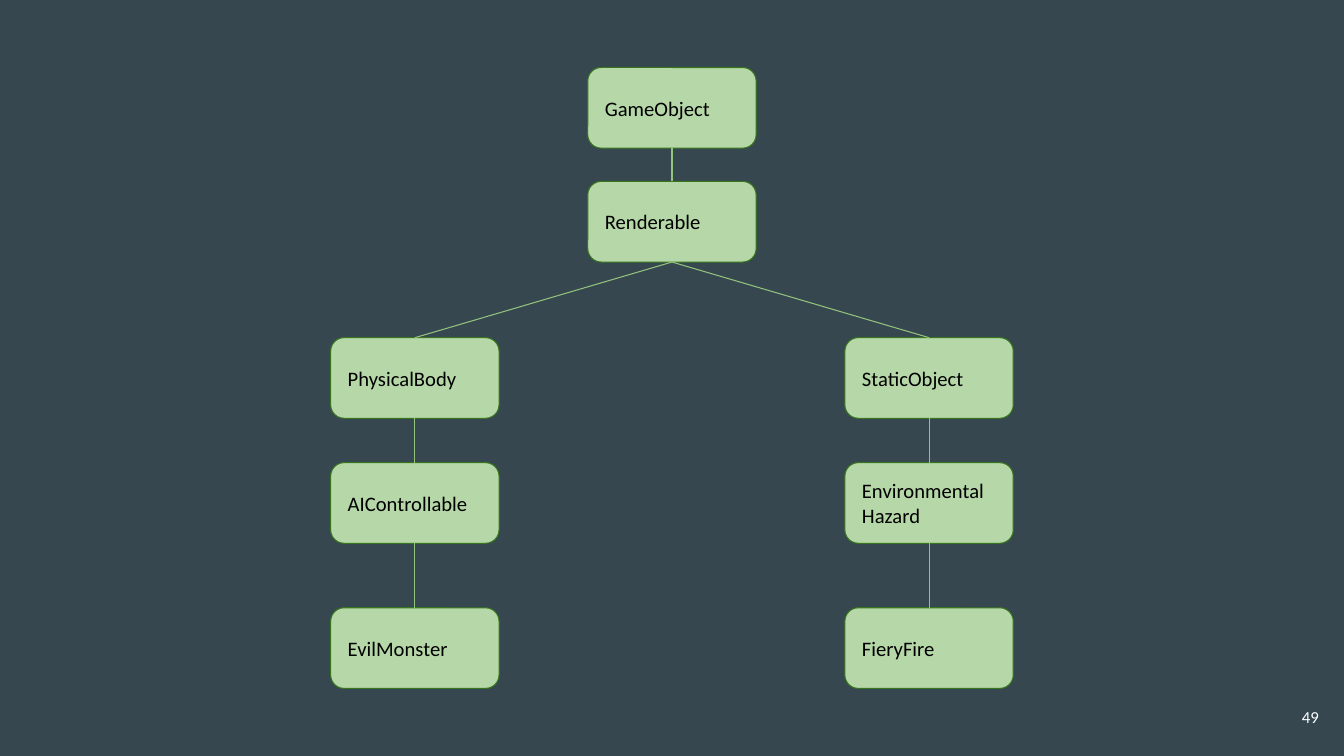
import pptx
import pptx.dml.color
import pptx.enum.shapes
import pptx.enum.text
import pptx.oxml
import pptx.util
from pptx.util import Inches

RGBColor = pptx.dml.color.RGBColor
BACKGROUND = RGBColor(0x37, 0x47, 0x4F)
BOX_FILL = RGBColor(0xB6, 0xD7, 0xA8)
BOX_LINE = RGBColor(0x38, 0x76, 0x1D)
LINK = RGBColor(0x93, 0xC4, 0x7D)
BLACK = RGBColor(0, 0, 0)
WHITE = RGBColor(0xFF, 0xFF, 0xFF)

FONT = "Calibri"
BOX_W, BOX_H = 1.67, 0.8
TOP, BOTTOM = 0, 2  # connection sites of a rounded rectangle

# Each chain lists (class name, distance below the top of its region)
BASE_CHAIN = [("GameObject", 0), ("Renderable", 1.13)]
BODY_CHAIN = [("PhysicalBody", 0), ("AIControllable", 1.24), ("EvilMonster", 2.68)]
STATIC_CHAIN = [("StaticObject", 0), ("Environmental\nHazard", 1.24), ("FieryFire", 2.68)]


def write_text(sp, text, size, color, inset, align):
    tf = sp.text_frame
    tf.word_wrap = True
    tf.vertical_anchor = pptx.enum.text.MSO_ANCHOR.MIDDLE
    tf.margin_left = tf.margin_right = Inches(inset)
    tf.margin_top = tf.margin_bottom = Inches(inset)
    p = tf.paragraphs[0]
    p.alignment = align
    for i, line in enumerate(text.split("\n")):
        if i:
            p.add_line_break()
        r = p.add_run()
        r.text = line
        r.font.name = FONT
        r.font.size = pptx.util.Pt(size)
        r.font.color.rgb = color


def add_class_box(s, name, left, top):
    sp = s.shapes.add_shape(pptx.enum.shapes.MSO_SHAPE.ROUNDED_RECTANGLE,
                            Inches(left), Inches(top), Inches(BOX_W), Inches(BOX_H))
    sp.shadow.inherit = False
    sp.fill.solid()
    sp.fill.fore_color.rgb = BOX_FILL
    sp.line.color.rgb = BOX_LINE
    sp.line.width = pptx.util.Pt(0.75)
    write_text(sp, name, 14.7, BLACK, 0.13, pptx.enum.text.PP_ALIGN.LEFT)
    return sp


def link(s, child, parent):
    line = s.shapes.add_connector(pptx.enum.shapes.MSO_CONNECTOR.STRAIGHT, 0, 0, 0, 0)
    line.begin_connect(child, TOP)
    line.end_connect(parent, BOTTOM)
    line.line.color.rgb = LINK
    line.line.width = pptx.util.Pt(0.75)
    line._element.spPr.append(pptx.oxml.parse_xml(
        '<a:effectLst xmlns:a="http://schemas.openxmlformats.org/drawingml/2006/main"/>'))


def add_chain(s, chain, left, top):
    """Stack a chain of classes, link each to its parent, return the boxes."""
    boxes = [add_class_box(s, name, left, top + offset) for name, offset in chain]
    for parent, child in zip(boxes, boxes[1:]):
        link(s, child, parent)
    return boxes


def add_class_tree(s, left, top):
    # Shared base classes, centred over the two branches
    base = add_chain(s, BASE_CHAIN, left + 2.55, top)
    # Branches
    for chain, offset in ((BODY_CHAIN, 0), (STATIC_CHAIN, 5.1)):
        branch = add_chain(s, chain, left + offset, top + 2.68)
        link(s, branch[0], base[-1])


def add_page_number(s, left, top, width, height):
    sp = s.shapes.add_textbox(Inches(left), Inches(top), Inches(width), Inches(height))
    write_text(sp, "49", 12, WHITE, 0.1, pptx.enum.text.PP_ALIGN.RIGHT)


def main():
    prs = pptx.Presentation()
    prs.slide_width, prs.slide_height = Inches(13.33), Inches(7.5)
    s = prs.slides.add_slide(prs.slide_layouts[6])
    s.background.fill.solid()
    s.background.fill.fore_color.rgb = BACKGROUND
    add_class_tree(s, 3.28, 0.67)
    add_page_number(s, 12.38, 6.83, 0.8, 0.57)
    prs.save("out.pptx")


if __name__ == "__main__":
    main()
